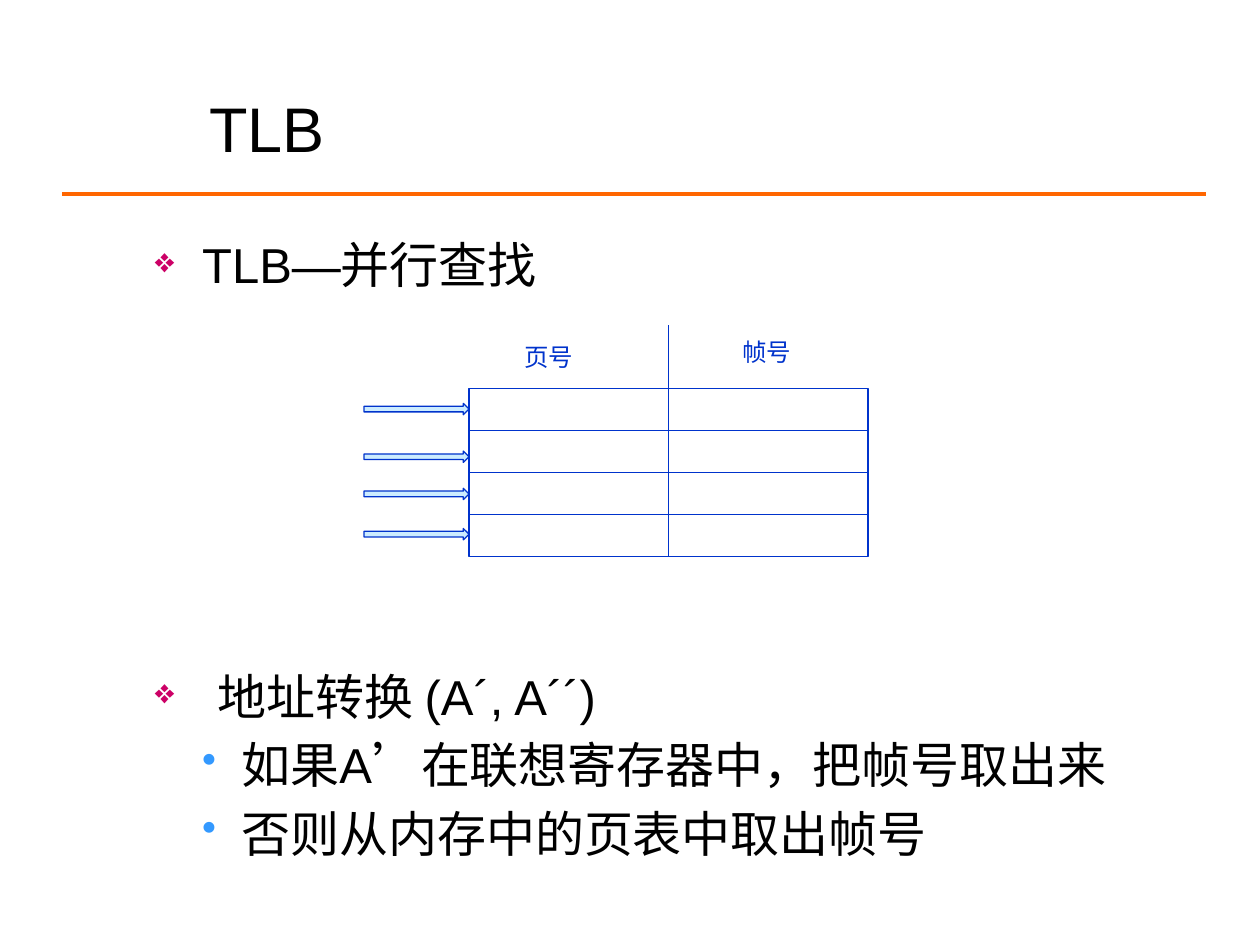
from pptx import Presentation
from pptx.dml.color import RGBColor
from pptx.enum.shapes import MSO_CONNECTOR, MSO_SHAPE
from pptx.enum.text import MSO_ANCHOR
from pptx.oxml.ns import qn
from pptx.util import Pt
from lxml.etree import SubElement

BLUE = "0033CC"


def color(value):
    return RGBColor.from_string(value)


def add_line(x1, y1, x2, y2, line_color, width):
    c = s.shapes.add_connector(MSO_CONNECTOR.STRAIGHT, Pt(x1), Pt(y1), Pt(x2), Pt(y2))
    c.line.color.rgb = color(line_color)
    c.line.width = Pt(width)
    SubElement(c._element.spPr, qn("a:effectLst"))
    return c


prs = Presentation()
prs.slide_width, prs.slide_height = Pt(720), Pt(540)
s = prs.slides.add_slide(prs.slide_layouts[6])

# Rule under the title
add_line(35.5, 110.75, 689, 110.75, "FF6600", 2.25)

# Title and column headings
labels = [
    ("TLB", (112.5, 42.5, 564.5, 61), True, {"name": "Arial", "size": Pt(36)}, "000000"),
    ("页号", (292.5, 192, 46.5, 24), False, {"name": "Roboto", "size": Pt(14)}, BLUE),
    ("帧号", (417, 188.75, 49, 24), False, {"name": "Roboto", "size": Pt(14)}, BLUE),
]
for text, box, wrap, font, text_color in labels:
    tf = s.shapes.add_textbox(*map(Pt, box)).text_frame
    tf.word_wrap = wrap
    tf.vertical_anchor = MSO_ANCHOR.MIDDLE
    r = tf.paragraphs[0].add_run()
    r.text = text
    for key, value in font.items():
        setattr(r.font, key, value)
    r.font.color.rgb = color(text_color)

# Body bullets; the third value is the space before, wide where the table sits
levels = [
    {"indent": (27, -27), "char": "❖", "color": "CC0066", "size": "70000"},
    {"indent": (49.5, -22.5), "char": "•", "color": "3399FF", "size": "85000"},
]
bullets = [
    (0, "TLB—并行查找", 0),
    (0, "\t地址转换 (A´, A´´)", 213),
    (1, "如果A’在联想寄存器中，把帧号取出来", 5.6),
    (1, "否则从内存中的页表中取出帧号", 5.6),
]
tf = s.shapes.add_textbox(Pt(81.5), Pt(130.5), Pt(559.5), Pt(340)).text_frame
tf.word_wrap = True
for i, (level, text, space) in enumerate(bullets):
    p = tf.paragraphs[0] if i == 0 else tf.add_paragraph()
    fmt = levels[level]
    p.level = level
    pPr = p._p.get_or_add_pPr()
    margin, indent = fmt["indent"]
    pPr.set("marL", str(Pt(margin)))
    pPr.set("indent", str(Pt(indent)))
    SubElement(SubElement(pPr, qn("a:buClr")), qn("a:srgbClr"), val=fmt["color"])
    SubElement(pPr, qn("a:buSzPct"), val=fmt["size"])
    SubElement(pPr, qn("a:buChar"), char=fmt["char"])
    p.space_before = Pt(space)
    r = p.add_run()
    r.text = text
    for key, value in {"name": "Arial", "size": Pt(28)}.items():
        setattr(r.font, key, value)
    r.font.color.rgb = color("000000")

# TLB frame, and the arrows that look up all rows at once
left, top, width, row, rows = 268, 222, 228, 24, 4
right, bottom, middle = left + width, top + row * rows, left + width / 2
shapes = [(MSO_SHAPE.RECTANGLE, (left, top, width, row * rows), "FFFFFF")]
for y in (230.5, 257.75, 279, 302):
    shapes.append((MSO_SHAPE.RIGHT_ARROW, (208, y, 60, 6.5), "CCECFF"))
frame = None
for kind, box, fill in shapes:
    sp = s.shapes.add_shape(kind, *map(Pt, box))
    sp.shadow.inherit = False
    sp.fill.solid()
    sp.fill.fore_color.rgb = color(fill)
    sp.line.color.rgb = color(BLUE)
    sp.line.width = Pt(0.75)
    frame = frame or sp

# Column divider and row lines
divider = add_line(middle, 186, middle, bottom, BLUE, 0.75)
divider.end_connect(frame, 2)
for i in range(1, rows):
    y = top + row * i
    line = add_line(left, y, right, y, BLUE, 0.75)
    if i == rows / 2:
        line.begin_connect(frame, 1)
        line.end_connect(frame, 3)

prs.save("out.pptx")
